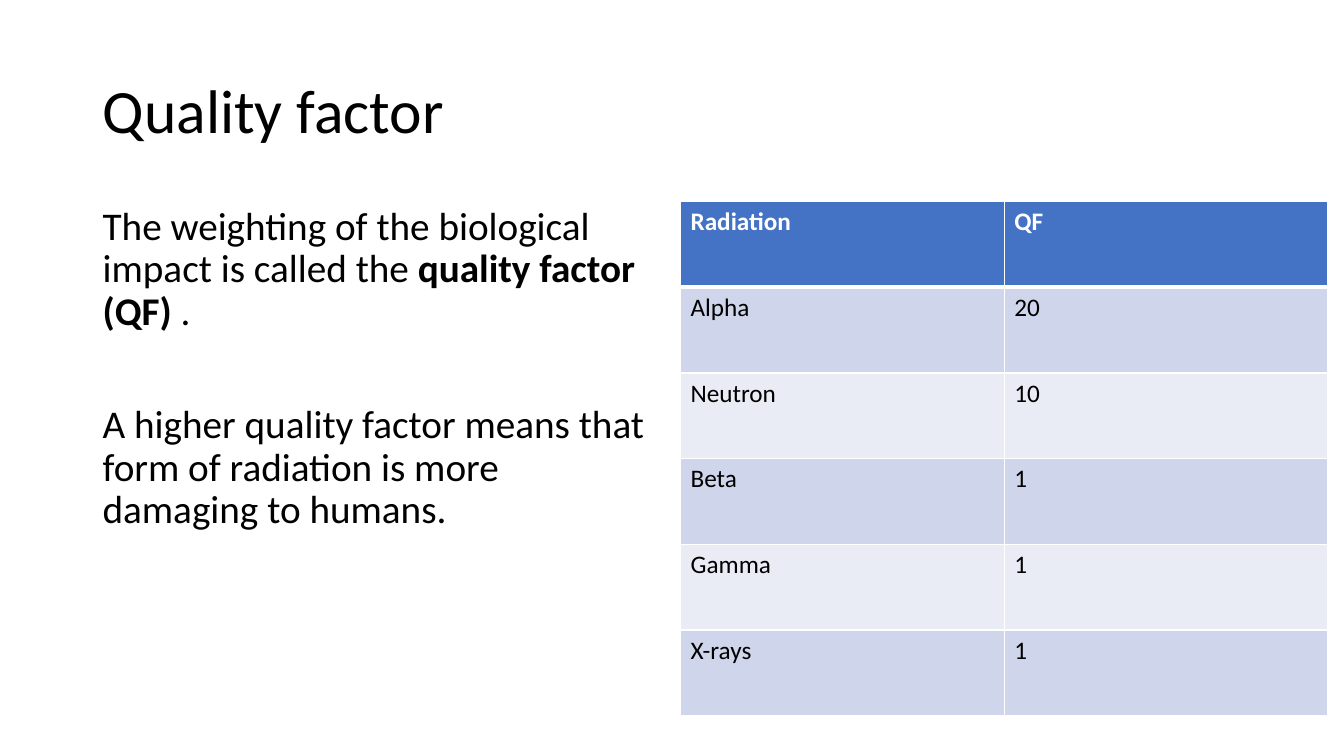
from dataclasses import dataclass
from typing import Any

from lxml import etree
from pptx import Presentation
from pptx.dml.color import RGBColor
from pptx.enum import text as t
from pptx.oxml import ns
from pptx import util as u


@dataclass(frozen=True)
class Theme:
    font: str = "Calibri"
    ink: str = "000000"
    white: str = "FFFFFF"
    head: str = "4472C4"
    bands: tuple[str, str] = ("CFD5EA", "E9EBF5")
    title: int = 44
    body: int = 28
    cell: int = 18
    thin: int = 1
    thick: int = 3


@dataclass(frozen=True)
class Box:
    left: float
    top: float
    width: float
    height: float

    def place(self) -> tuple[int, ...]:
        return tuple(u.Inches(v) for v in (self.left, self.top, self.width, self.height))


@dataclass(frozen=True)
class Run:
    words: str
    bold: bool = False


@dataclass(frozen=True)
class Para:
    runs: tuple[Run, ...]
    gap: int = 0


THEME = Theme()
TITLE = Box(0.92, 0.4, 11.5, 1.45)
BODY = Box(0.92, 2, 5.67, 4.76)
TABLE = Box(6.75, 2, 6.42, 5.1)
PARAS = (
    Para((
        Run("The weighting of the biological impact is called the "),
        Run("quality factor (QF) ", True),
        Run("."),
    )),
    Para((Run("A higher quality factor means that form of radiation is more "
              "damaging to humans."),), 51),
)
ROWS = (
    ("Radiation", "QF"),
    ("Alpha", "20"),
    ("Neutron", "10"),
    ("Beta", "1"),
    ("Gamma", "1"),
    ("X-rays", "1"),
)


def assign(item: Any, values: dict[str, Any]) -> None:
    for name, value in values.items():
        setattr(item, name, value)


def style(font: Any, size: int, color: str, bold: bool = False) -> None:
    assign(font, {"name": THEME.font, "size": u.Pt(size), "bold": bold})
    font.color.rgb = RGBColor.from_string(color)


def write(para: Any, data: Para, size: int, color: str) -> None:
    for part in data.runs:
        run = para.add_run()
        run.text = part.words
        style(run.font, size, color, part.bold)


def border(cell: Any, side: str, width: int) -> None:
    line = etree.SubElement(cell._tc.get_or_add_tcPr(), ns.qn(f"a:ln{side}"),
                            w=str(u.Pt(width)))
    fill = etree.SubElement(line, ns.qn("a:solidFill"))
    etree.SubElement(fill, ns.qn("a:srgbClr"), val=THEME.white)


def add_title(slide: Any, words: str) -> None:
    title = slide.shapes.title
    assign(title, dict(zip(("left", "top", "width", "height"), TITLE.place())))
    frame = title.text_frame
    assign(frame, {"vertical_anchor": t.MSO_ANCHOR.MIDDLE, "word_wrap": True,
                   "auto_size": t.MSO_AUTO_SIZE.NONE})
    para = frame.paragraphs[0]
    assign(para, {"alignment": t.PP_ALIGN.LEFT, "line_spacing": 0.9})
    write(para, Para((Run(words),)), THEME.title, THEME.ink)


def add_body(slide: Any) -> None:
    frame = slide.shapes.add_textbox(*BODY.place()).text_frame
    frame.word_wrap = True
    for i, data in enumerate(PARAS):
        para = frame.add_paragraph() if i else frame.paragraphs[0]
        assign(para, {"line_spacing": 0.9, "space_before": u.Pt(data.gap)})
        write(para, data, THEME.body, THEME.ink)


def add_grid(slide: Any) -> None:
    grid = slide.shapes.add_table(len(ROWS), len(ROWS[0]), *TABLE.place()).table
    for r, row in enumerate(ROWS):
        for c, words in enumerate(row):
            cell = grid.cell(r, c)
            # Heavy rule between the header and the first row
            for side in "LRTB":
                heavy = (r, side) in ((0, "B"), (1, "T"))
                border(cell, side, THEME.thick if heavy else THEME.thin)
            # Header colour, then alternating bands
            shade = THEME.bands[(r - 1) % 2] if r else THEME.head
            cell.fill.solid()
            cell.fill.fore_color.rgb = RGBColor.from_string(shade)
            write(cell.text_frame.paragraphs[0], Para((Run(words, r == 0),)),
                  THEME.cell, THEME.ink if r else THEME.white)


def main() -> None:
    deck = Presentation()
    assign(deck, {"slide_width": u.Inches(13.33), "slide_height": u.Inches(7.5)})
    slide = deck.slides.add_slide(deck.slide_layouts[5])
    add_title(slide, "Quality factor")
    add_body(slide)
    add_grid(slide)
    deck.save("out.pptx")


if __name__ == "__main__":
    main()
